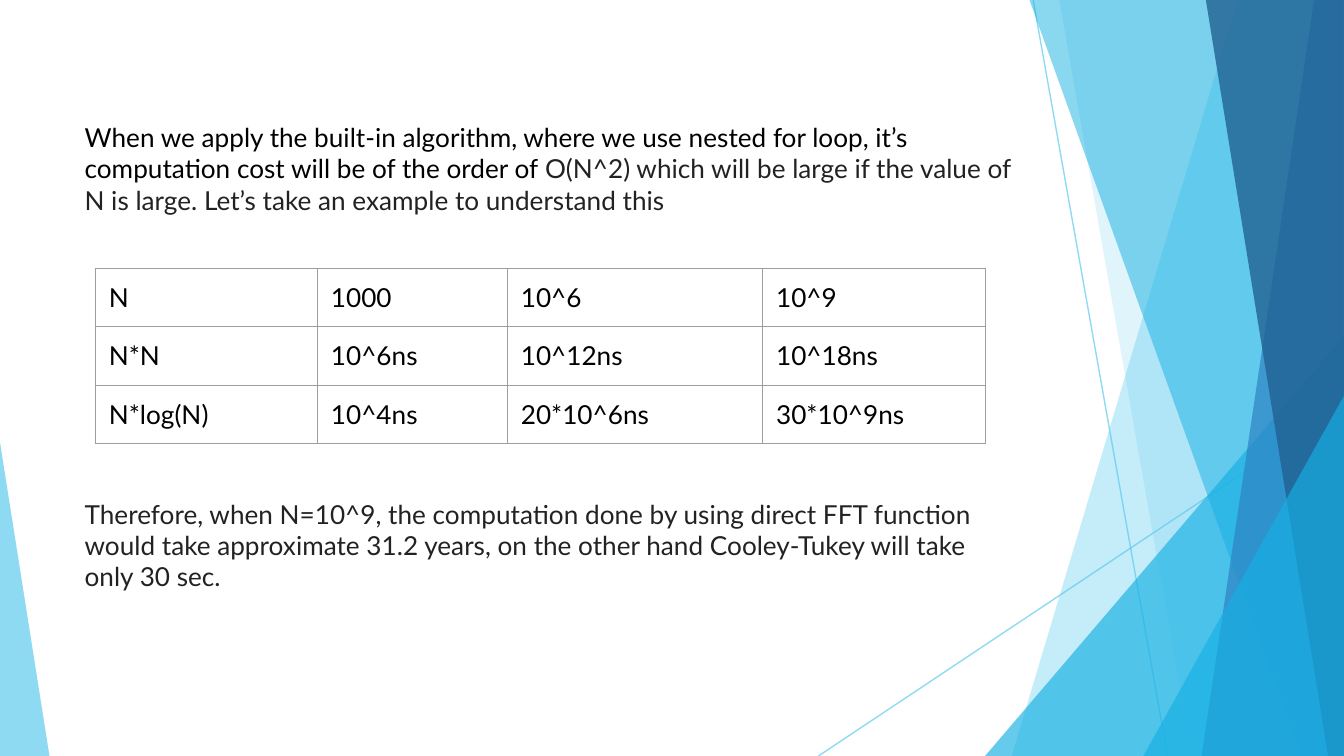
"""Build a slide comparing the computation cost of N*N and N*log(N) algorithms."""
import pptx
import pptx.dml.color
import pptx.enum.shapes
import pptx.enum.text
import pptx.oxml
import pptx.oxml.ns
import pptx.util

Pt = pptx.util.Pt
qn = pptx.oxml.ns.qn


def paint(fill, color, element=None, opacity=100):
    fill.solid()
    fill.fore_color.rgb = pptx.dml.color.RGBColor.from_string(color)
    if opacity < 100:
        for node in element.iter(qn("a:srgbClr")):
            alpha = node.makeelement(qn("a:alpha"), {"val": str(opacity * 1000)})
            node.append(alpha)


def add_text(paragraph, text, font="Lato", size=14, color="000000"):
    run = paragraph.add_run()
    run.text = text
    run.font.name = font
    run.font.size = Pt(size)
    paint(run.font.fill, color)


presentation = pptx.Presentation()
presentation.slide_width = Pt(720)
presentation.slide_height = Pt(405)
slide = presentation.slides.add_slide(presentation.slide_layouts[6])
shapes = slide.shapes

for start_x, start_y, end_x, end_y in [(553.5, 0, 625.5, 405), (720, 217.5, 438.5, 405)]:
    line = shapes.add_connector(
        pptx.enum.shapes.MSO_CONNECTOR.STRAIGHT, Pt(start_x), Pt(start_y), Pt(end_x), Pt(end_y)
    )
    line.line.width = Pt(0.75)
    paint(line.line.fill, "5FCBEF", line.element, 70)
    properties = line.element.spPr
    properties.append(properties.makeelement(qn("a:effectLst"), {}))

# Bands hold top-left, top-right, bottom-right and bottom-left x; triangles hold box and apex.
facets = [
    ("band", (663, 720, 720, 542), "5FCBEF", 36),
    ("band", (567.5, 720, 720, 638.5), "5FCBEF", 20),
    ("triangle", (527.75, 180, 192.25, 225, 1), "16B0E3", 66),
    ("band", (551.5, 719.5, 719.5, 697), "16B0E3", 50),
    ("band", (704, 720, 720, 643.75), "2E83C3", 70),
    ("band", (646, 720, 720, 711.5), "226292", 80),
    ("triangle", (612.5, 212, 107.5, 193, 1), "16B0E3", 66),
    ("triangle", (0, 237, 26.5, 168, 0), "5FCBEF", 70),
]
for kind, geometry, color, opacity in facets:
    if kind == "band":
        corners = [(Pt(x), Pt(y)) for x, y in zip(geometry, (0, 0, 405, 405))]
        builder = shapes.build_freeform(*corners[0])
        builder.add_line_segments(corners[1:])
        facet = builder.convert_to_shape()
    else:
        *box, apex = geometry
        facet = shapes.add_shape(
            pptx.enum.shapes.MSO_SHAPE.ISOSCELES_TRIANGLE, *[Pt(value) for value in box]
        )
        facet.adjustments[0] = apex
    facet.shadow.inherit = False
    paint(facet.fill, color, facet.element, opacity)
    facet.line.fill.background()

text_box = shapes.add_textbox(Pt(38.25), Pt(41), Pt(514), Pt(325))
frame = text_box.text_frame
frame.word_wrap = True
frame.vertical_anchor = pptx.enum.text.MSO_ANCHOR.TOP
frame.margin_left = frame.margin_right = frame.margin_bottom = Pt(7.2)
frame.margin_top = Pt(24)
introduction = frame.paragraphs[0]
add_text(
    introduction,
    "When we apply the built-in algorithm, where we use nested for loop, it’s "
    "computation cost will be of the order of ",
)
add_text(
    introduction,
    "O(N^2) which will be large if the value of N is large. "
    "Let’s take an example to understand this",
    color="222222",
)
conclusion = frame.add_paragraph()
conclusion.space_before = Pt(151.4)
add_text(
    conclusion,
    "Therefore, when N=10^9, the computation done by using direct FFT function would take "
    "approximate 31.2 years, on the other hand Cooley-Tukey will take only 30 sec.",
    color="222222",
)

costs = [
    ("N", "1000", "10^6", "10^9"),
    ("N*N", "10^6ns", "10^12ns", "10^18ns"),
    ("N*log(N)", "10^4ns", "20*10^6ns", "30*10^9ns"),
]
column_widths = (119, 101.75, 136.75, 119.5)
row_height = 31.3
table = shapes.add_table(
    len(costs), len(column_widths), Pt(51.1), Pt(143.75),
    Pt(sum(column_widths)), Pt(row_height * len(costs)),
).table
table.first_row = False
table.horz_banding = False
for column, width in zip(table.columns, column_widths):
    column.width = Pt(width)
for row, values in zip(table.rows, costs):
    row.height = Pt(row_height)
    for cell, value in zip(row.cells, values):
        cell.margin_left = cell.margin_right = Pt(7.2)
        cell.margin_top = cell.margin_bottom = Pt(7.2)
        add_text(cell.text_frame.paragraphs[0], value)
        cell_properties = cell._tc.get_or_add_tcPr()
        for side in "LRTB":
            cell_properties.append(pptx.oxml.parse_xml(
                f'<a:ln{side} {pptx.oxml.ns.nsdecls("a")} w="{Pt(0.75)}">'
                f'<a:solidFill><a:srgbClr val="9E9E9E"/></a:solidFill></a:ln{side}>'
            ))
        cell.fill.background()

presentation.save("out.pptx")
